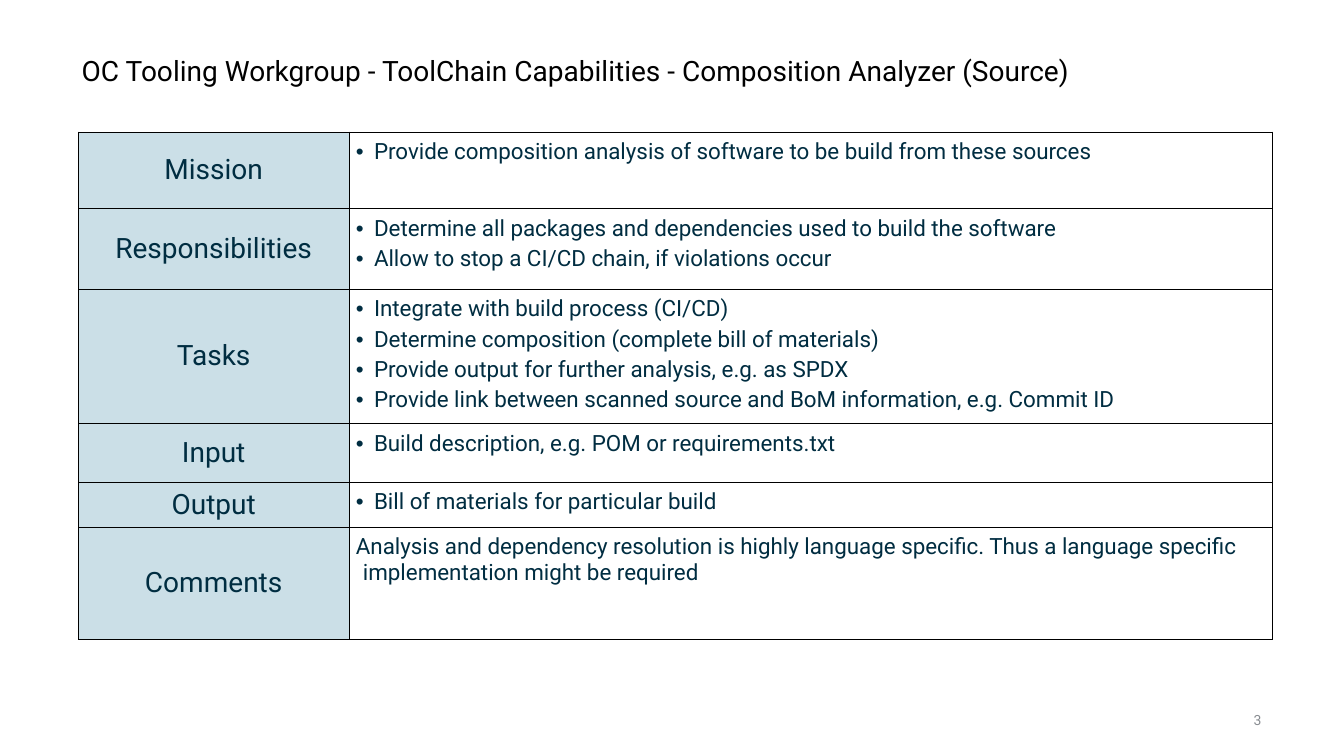
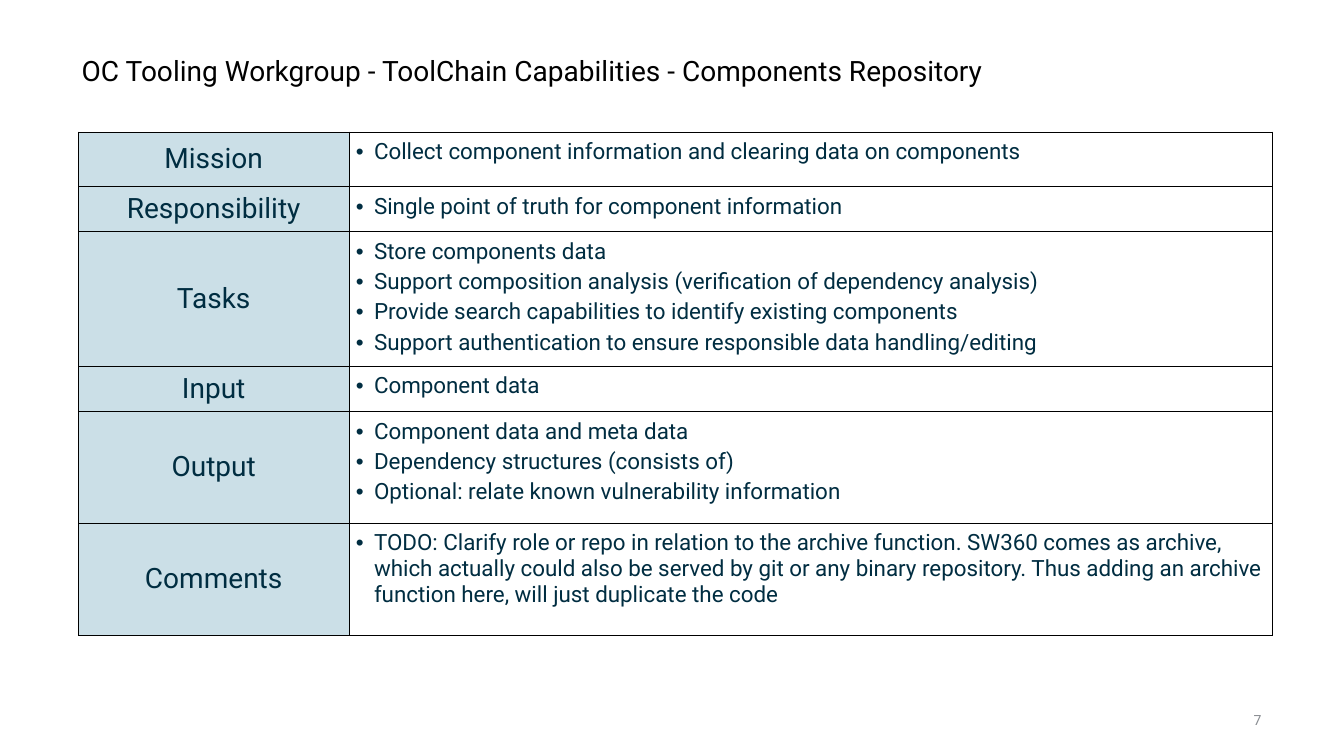
from lxml import etree
from pptx import Presentation
from pptx.dml.color import RGBColor
from pptx.enum.text import MSO_ANCHOR, MSO_AUTO_SIZE, PP_ALIGN
from pptx.oxml.ns import qn
from pptx.util import Inches, Pt

LEFT, CENTER, RIGHT = PP_ALIGN.LEFT, PP_ALIGN.CENTER, PP_ALIGN.RIGHT
TOP, MIDDLE = MSO_ANCHOR.TOP, MSO_ANCHOR.MIDDLE
NO_AUTOFIT = MSO_AUTO_SIZE.NONE

COLORS = {
    "title": "000000",
    "text": "002D41",
    "label_fill": "CBDFE7",
    "border": "000000",
    "number": "888C91",
}
FONT = "Roboto"
SIDES = ("left", "right", "top", "bottom")
TITLE_BOX = (0.76, 0.39, 10.62, 0.65)
NUMBER_BOX = (12.37, 7, 0.19, 0.29)
TABLE_ORIGIN = (0.78, 1.31)
COL_WIDTHS = (2.68, 9.16)
BULLET_INDENT = 0.18
PLAIN_INDENT = 0.07

SLIDES = [
    {
        "title": "OC Tooling Workgroup - ToolChain Capabilities - Composition Analyzer (Source)",
        "number": "3",
        "rows": [
            ("Mission", 0.76, True, [
                "Provide composition analysis of software to be build from these sources"]),
            ("Responsibilities", 0.8, True, [
                "Determine all packages and dependencies used to build the software",
                "Allow to stop a CI/CD chain, if violations occur"]),
            ("Tasks", 1.3, True, [
                "Integrate with build process (CI/CD)",
                "Determine composition (complete bill of materials)",
                "Provide output for further analysis, e.g. as SPDX",
                "Provide link between scanned source and BoM information, e.g. Commit ID"]),
            ("Input", 0.58, True, ["Build description, e.g. POM or requirements.txt"]),
            ("Output", 0.45, True, ["Bill of materials for particular build"]),
            ("Comments", 1.11, False, [
                "Analysis and dependency resolution is highly language specific. "
                "Thus a language specific implementation might be required"]),
        ],
    },
    {
        "title": "OC Tooling Workgroup - ToolChain Capabilities - Components Repository",
        "number": "7",
        "rows": [
            ("Mission", 0.54, True, [
                "Collect component information and clearing data on components"]),
            ("Responsibility", 0.45, True, ["Single point of truth for component information"]),
            ("Tasks", 1.3, True, [
                "Store components data",
                "Support composition analysis (verification of dependency analysis)",
                "Provide search capabilities to identify existing components",
                "Support authentication to ensure responsible data handling/editing"]),
            ("Input", 0.45, True, ["Component data"]),
            ("Output", 1.11, True, [
                "Component data and meta data",
                "Dependency structures (consists of)",
                "Optional: relate known vulnerability information"]),
            ("Comments", 1.11, True, [
                "TODO: Clarify role or repo in relation to the archive function. "
                "SW360 comes as archive, which actually could also be served by git "
                "or any binary repository. Thus adding an archive function here, "
                "will just duplicate the code"]),
        ],
    },
]


def set_margins(target, inches):
    for side in SIDES:
        setattr(target, f"margin_{side}", Inches(inches))


def write(p, text, size, color, align=LEFT):
    p.alignment = align
    r = p.add_run()
    r.text = text
    for name, value in {"name": FONT, "size": Pt(size), "bold": False}.items():
        setattr(r.font, name, value)
    r.font.color.rgb = RGBColor.from_string(COLORS[color])


def set_indent(p, inches, bullet):
    pPr = p._p.get_or_add_pPr()
    pPr.set("marL", str(Inches(inches)))
    pPr.set("indent", str(-Inches(inches)))
    if bullet:
        etree.SubElement(pPr, qn("a:buFont"), typeface="Arial")
        etree.SubElement(pPr, qn("a:buChar"), char="•")
    else:
        etree.SubElement(pPr, qn("a:buNone"))


def set_borders(cell):
    tcPr = cell._tc.get_or_add_tcPr()
    for tag in ("a:lnL", "a:lnR", "a:lnT", "a:lnB"):
        ln = etree.SubElement(tcPr, qn(tag), w=str(Pt(0.5)))
        fill = etree.SubElement(ln, qn("a:solidFill"))
        etree.SubElement(fill, qn("a:srgbClr"), val=COLORS["border"])


def add_title(s, box, text):
    sp = s.shapes.title
    sp.left, sp.top, sp.width, sp.height = map(Inches, box)
    tf = sp.text_frame
    set_margins(tf, 0.05)
    for name, value in {"word_wrap": True, "auto_size": NO_AUTOFIT,
                        "vertical_anchor": MIDDLE}.items():
        setattr(tf, name, value)
    p = tf.paragraphs[0]
    p.line_spacing = 0.9
    write(p, text, 20, "title")


def add_number(s, box, text):
    tf = s.shapes.add_textbox(*map(Inches, box)).text_frame
    set_margins(tf, 0.05)
    tf.word_wrap = False
    tf.vertical_anchor = MIDDLE
    write(tf.paragraphs[0], text, 10, "number", RIGHT)


def fill_label(cell, text):
    set_margins(cell, 0)
    cell.vertical_anchor = MIDDLE
    cell.fill.solid()
    cell.fill.fore_color.rgb = RGBColor.from_string(COLORS["label_fill"])
    write(cell.text_frame.paragraphs[0], text, 20, "text", CENTER)


def fill_details(cell, items, bullet):
    set_margins(cell, 0.07)
    cell.vertical_anchor = TOP
    cell.fill.background()
    tf = cell.text_frame
    for i, item in enumerate(items):
        p = tf.add_paragraph() if i else tf.paragraphs[0]
        p.space_before = Pt(3 if i else 0)
        set_indent(p, BULLET_INDENT if bullet else PLAIN_INDENT, bullet)
        write(p, item, 16, "text")


def add_capability_table(s, origin, rows):
    size = (sum(COL_WIDTHS), sum(row[1] for row in rows))
    table = s.shapes.add_table(len(rows), len(COL_WIDTHS), *map(Inches, origin + size)).table
    table.first_row = table.horz_banding = False
    for col, width in zip(table.columns, COL_WIDTHS):
        col.width = Inches(width)
    for row, (label, height, bullet, items) in zip(table.rows, rows):
        row.height = Inches(height)
        for cell in row.cells:
            set_borders(cell)
        fill_label(row.cells[0], label)
        fill_details(row.cells[1], items, bullet)


def add_capability_slide(prs, content):
    s = prs.slides.add_slide(prs.slide_layouts.get_by_name("Title Only"))
    add_title(s, TITLE_BOX, content["title"])
    add_number(s, NUMBER_BOX, content["number"])
    add_capability_table(s, TABLE_ORIGIN, content["rows"])


def main():
    prs = Presentation()
    prs.slide_width, prs.slide_height = Inches(13.33), Inches(7.5)
    for content in SLIDES:
        add_capability_slide(prs, content)
    prs.save("out.pptx")


if __name__ == "__main__":
    main()
